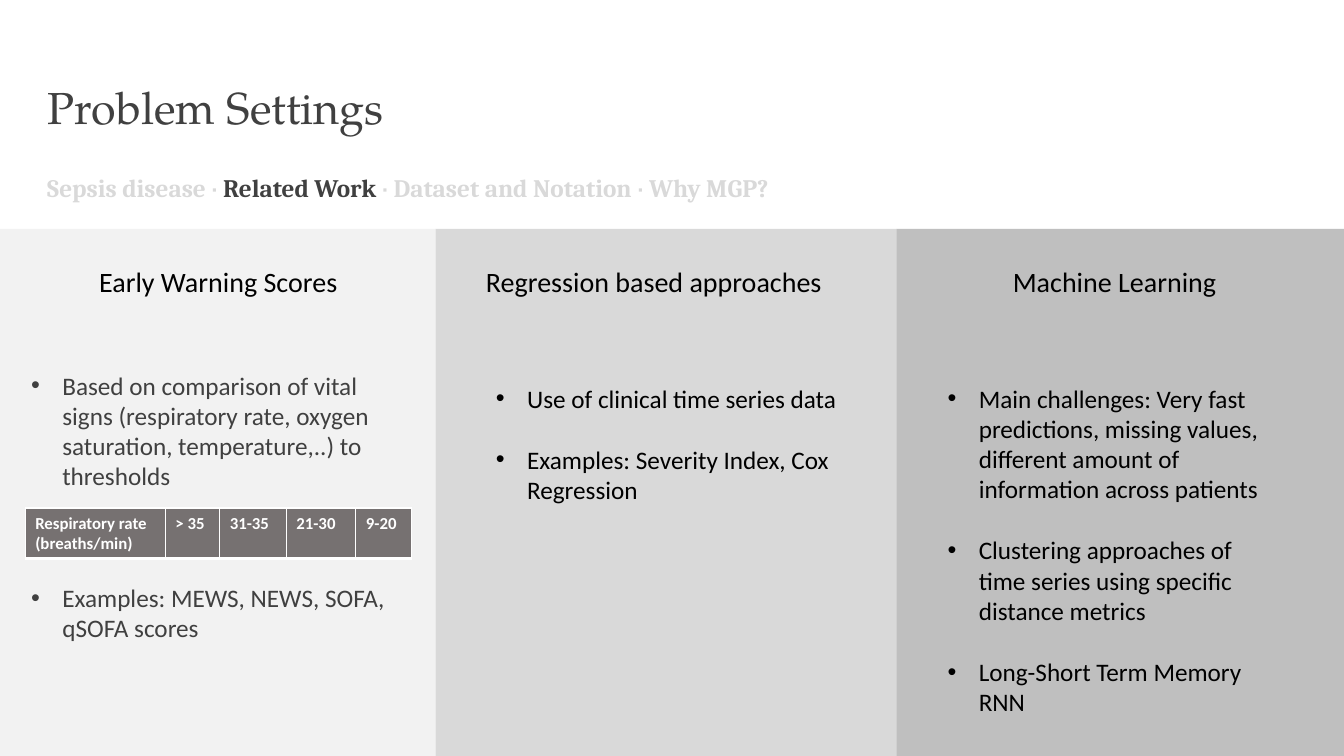
"""Build the related work slide with three panels of approaches."""
from pptx import Presentation
from pptx.dml.color import RGBColor
from pptx.enum.shapes import MSO_SHAPE
from pptx.enum.text import MSO_ANCHOR, PP_ALIGN
from pptx.oxml.ns import qn
from pptx.util import Inches, Pt
from lxml import etree

RECT = MSO_SHAPE.RECTANGLE
BOTTOM = MSO_ANCHOR.BOTTOM
CENTER = PP_ALIGN.CENTER

TITLE = "Problem Settings"
TOPICS = ["Sepsis disease", "Related Work", "Dataset and Notation", "Why MGP?"]
ACTIVE = "Related Work"
PANELS = [
    {"width": 4.32, "fill": "F2F2F2", "head": "Early Warning Scores",
     "body": (0.21, 3.62, 3.91, 2.83), "ink": "404040", "gap": 65.5,
     "items": ["Based on comparison of vital signs (respiratory rate, oxygen "
               "saturation, temperature,..) to thresholds",
               "Examples: MEWS, NEWS, SOFA, qSOFA scores"]},
    {"width": 4.57, "fill": "D9D9D9", "head": "Regression based approaches",
     "body": (4.82, 3.75, 3.62, 1.31), "ink": "000000", "gap": 22,
     "items": ["Use of clinical time series data",
               "Examples: Severity Index, Cox Regression"]},
    {"width": 4.44, "fill": "BFBFBF", "head": "Machine Learning",
     "body": (9.3, 3.75, 3.5, 3.74), "ink": "000000", "gap": 22,
     "items": ["Main challenges: Very fast predictions, missing values, "
               "different amount of information across patients",
               "Clustering approaches of time series using specific "
               "distance metrics",
               "Long-Short Term Memory RNN"]},
]
RATES = [("Respiratory rate (breaths/min)", 1.39), ("> 35", 0.54),
         ("31-35", 0.66), ("21-30", 0.69), ("9-20", 0.55)]
BORDERS = [("L", 1), ("R", 1), ("T", 1), ("B", 3)]
THEME = {
    "title": ("TeX Gyre Pagella", 32), "topic": ("Cambria", 18),
    "dot": ("Cabin", 18), "head": ("Calibri", 20), "body": ("Calibri", 18),
    "cell": ("Calibri", 12),
    "dark": "404040", "faint": "D9D9D9", "black": "000000",
    "white": "FFFFFF", "table": "767171",
}


def style(font, kind, color, bold=False):
    font.name, size = THEME[kind]
    font.size = Pt(size)
    font.bold = bold
    font.color.rgb = RGBColor.from_string(color)


def add_box(slide, area):
    frame = slide.shapes.add_textbox(*map(Inches, area)).text_frame
    frame.word_wrap = True
    return frame


def add_bullet(para):
    props = para._p.get_or_add_pPr()
    props.set("marL", str(Inches(0.31)))
    props.set("indent", str(-Inches(0.31)))
    etree.SubElement(props, qn("a:buFont"), typeface="Arial")
    etree.SubElement(props, qn("a:buChar"), char="•")


def add_topics(slide):
    para = add_box(slide, (0.37, 1.51, 12.58, 0.51)).paragraphs[0]
    para.line_spacing = 1.5
    for i, topic in enumerate(TOPICS):
        if i:
            dot = para.add_run()
            dot.text = " · "
            style(dot.font, "dot", THEME["faint"], True)
        run = para.add_run()
        run.text = topic
        color = THEME["dark" if topic == ACTIVE else "faint"]
        style(run.font, "topic", color, True)


def add_panel(slide, left, panel):
    area = (left, 2.27, panel["width"], 5.23)
    shape = slide.shapes.add_shape(RECT, *map(Inches, area))
    shape.shadow.inherit = False
    shape.fill.solid()
    shape.fill.fore_color.rgb = RGBColor.from_string(panel["fill"])
    shape.line.fill.background()
    head = add_box(slide, (left + 0.21, 2.57, 3.91, 0.44)).paragraphs[0]
    head.text = panel["head"]
    head.alignment = CENTER
    style(head.font, "head", THEME["black"])
    frame = add_box(slide, panel["body"])
    for i, item in enumerate(panel["items"]):
        para = frame.add_paragraph() if i else frame.paragraphs[0]
        para.text = item
        if i:
            para.space_before = Pt(panel["gap"])
        add_bullet(para)
        style(para.font, "body", panel["ink"])


def add_border(cell):
    props = cell._tc.get_or_add_tcPr()
    for side, width in BORDERS:
        line = etree.SubElement(props, qn(f"a:ln{side}"), w=str(Pt(width)))
        fill = etree.SubElement(line, qn("a:solidFill"))
        etree.SubElement(fill, qn("a:srgbClr"), val=THEME["white"])


def add_rates(slide):
    area = (0.25, 5.04, sum(width for _, width in RATES), 0.5)
    table = slide.shapes.add_table(1, len(RATES), *map(Inches, area)).table
    for i, (text, width) in enumerate(RATES):
        table.columns[i].width = Inches(width)
        cell = table.cell(0, i)
        cell.text = text
        style(cell.text_frame.paragraphs[0].font, "cell", THEME["white"], True)
        add_border(cell)
        cell.fill.solid()
        cell.fill.fore_color.rgb = RGBColor.from_string(THEME["table"])


def main():
    deck = Presentation()
    deck.slide_width, deck.slide_height = Inches(13.33), Inches(7.5)
    slide = deck.slides.add_slide(deck.slide_layouts[6])
    title = add_box(slide, (0.37, 0.68, 7.67, 0.69))
    title.vertical_anchor = BOTTOM
    title.text = TITLE
    style(title.paragraphs[0].font, "title", THEME["dark"])
    left = 0
    for panel in PANELS:
        add_panel(slide, left, panel)
        left += panel["width"]
    add_rates(slide)
    add_topics(slide)
    deck.save("out.pptx")


if __name__ == "__main__":
    main()
